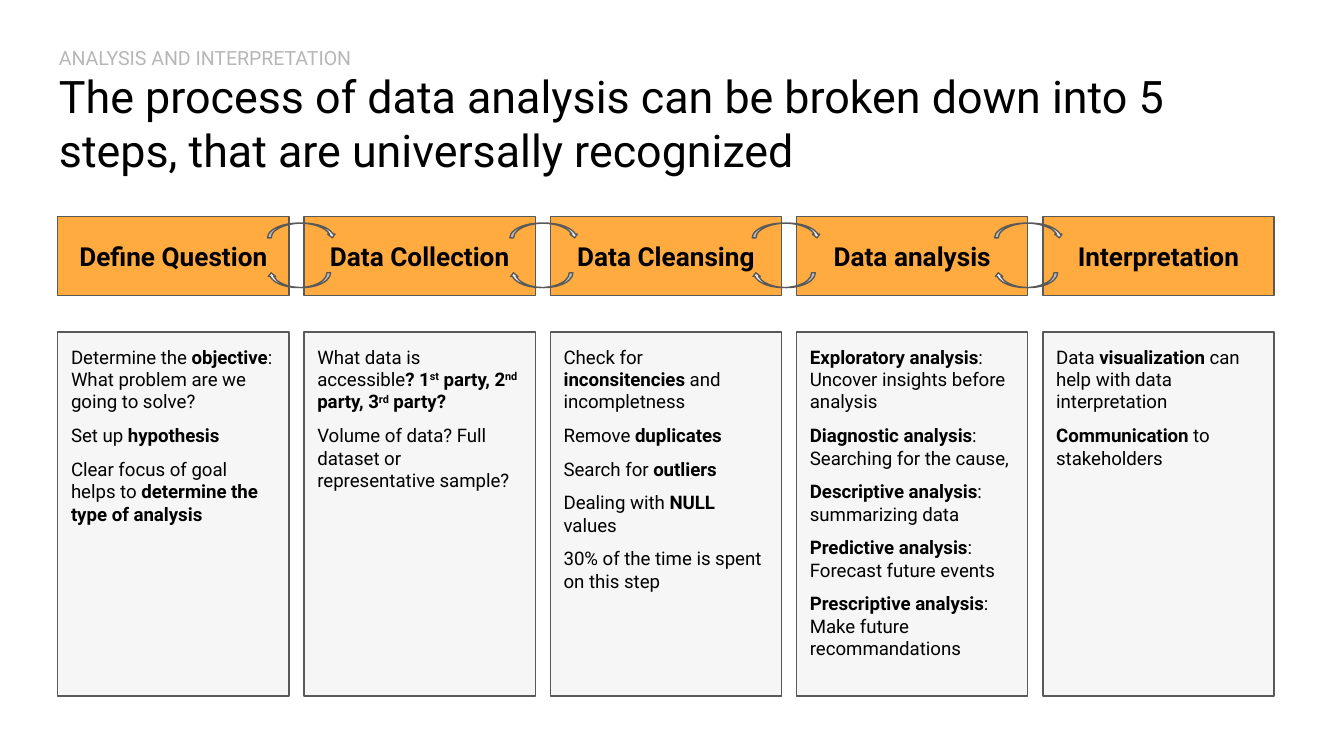
from pptx import Presentation
from pptx.dml.color import RGBColor
from pptx.enum.shapes import MSO_SHAPE
from pptx.enum.text import MSO_ANCHOR, PP_ALIGN
from pptx.oxml.ns import qn
from pptx.util import Inches, Pt
from lxml import etree

RECT = MSO_SHAPE.RECTANGLE
ARROW_DOWN, ARROW_UP = MSO_SHAPE.CURVED_DOWN_ARROW, MSO_SHAPE.CURVED_UP_ARROW
TOP, MIDDLE = MSO_ANCHOR.TOP, MSO_ANCHOR.MIDDLE
LEFT, CENTER = PP_ALIGN.LEFT, PP_ALIGN.CENTER

BLACK = RGBColor(0x00, 0x00, 0x00)
SILVER = RGBColor(0xB7, 0xB7, 0xB7)
ORANGE = RGBColor(0xFF, 0xAB, 0x40)
PALE = RGBColor(0xEE, 0xEE, 0xEE)
DARK = RGBColor(0x59, 0x59, 0x59)

FONT = "Roboto"
SLIDE_W = 10
SLIDE_H = SLIDE_W * 9 / 16
COLUMN_W = 1.72
ARROW_W, BACK_ARROW_W, ARROW_H = 0.51, 0.47, 0.11

TITLE_BOX = (0.34, 0.24, 9.32, 0.63)
HEADER_BOX = (0.43, 1.61, 9.05, 0.59)
ARROW_BOX = (1.99, 1.66, 5.92, 0.48)
DETAIL_BOX = (0.43, 2.47, 9.05, 2.71)

KICKER = {"size": Pt(10.5), "name": FONT, "color": SILVER}
TITLE = {"size": Pt(24), "name": FONT, "color": BLACK}
HEADER = {"size": Pt(14), "name": FONT, "color": BLACK, "bold": True}
BODY = {"size": Pt(10), "name": FONT, "color": BLACK}

STEPS = {
    "Define Question": [
        "Determine the *objective*: What problem are we going to solve?",
        "Set up *hypothesis*",
        "Clear focus of goal helps to *determine the type of analysis*",
    ],
    "Data Collection": [
        "What data is accessible*? 1^st^ party, 2^nd^ party, 3^rd^ party?*",
        "Volume of data? Full dataset or representative sample?",
    ],
    "Data Cleansing": [
        "Check for *inconsitencies* and incompletness",
        "Remove *duplicates*",
        "Search for *outliers*",
        "Dealing with *NULL* values",
        "30% of the time is spent on this step",
    ],
    "Data analysis": [
        "*Exploratory analysis*: Uncover insights before analysis",
        "*Diagnostic analysis*: Searching for the cause,",
        "*Descriptive analysis*: summarizing data",
        "*Predictive analysis*: Forecast future events",
        "*Prescriptive analysis*: Make future recommandations",
    ],
    "Interpretation": [
        "Data *visualization* can help with data interpretation",
        "*Communication* to stakeholders",
    ],
}


def add_run(p, text, style):
    r = p.add_run()
    r.text = text
    for key, value in style.items():
        if key == "color":
            r.font.color.rgb = value
        else:
            setattr(r.font, key, value)
    return r


def add_marked_text(p, text):
    for i, part in enumerate(text.split("*")):
        for j, piece in enumerate(part.split("^")):
            if piece:
                r = add_run(p, piece, {**BODY, "bold": i % 2 == 1})
                if j % 2:
                    r.font._element.set("baseline", "30000")


def set_frame(tf, anchor):
    tf.word_wrap = True
    tf.vertical_anchor = anchor
    for side in ("left", "top", "right", "bottom"):
        setattr(tf, f"margin_{side}", Inches(0.1))


def add_outlined(s, kind, box, color):
    sp = s.shapes.add_shape(kind, *map(Inches, box))
    sp.shadow.inherit = False
    sp.fill.solid()
    sp.fill.fore_color.rgb = color
    sp.line.color.rgb = DARK
    sp.line.width = Pt(0.75)
    return sp


def column_lefts(box, count, width):
    pitch = (box[2] - width) / (count - 1)
    return [box[0] + i * pitch for i in range(count)]


def add_title(s, box):
    tf = s.shapes.add_textbox(*map(Inches, box)).text_frame
    set_frame(tf, TOP)
    p = tf.paragraphs[0]
    add_run(p, "ANALYSIS AND INTERPRETATION", KICKER)
    p.add_line_break()
    add_run(p, "The process of data analysis can be broken down into 5 steps, "
               "that are universally recognized", TITLE)


def add_headers(s, box):
    for x, name in zip(column_lefts(box, len(STEPS), COLUMN_W), STEPS):
        sp = add_outlined(s, RECT, (x, box[1], COLUMN_W, box[3]), ORANGE)
        set_frame(sp.text_frame, MIDDLE)
        p = sp.text_frame.paragraphs[0]
        p.alignment = CENTER
        add_run(p, name, HEADER)


def add_arrows(s, box):
    _, y, _, h = box
    for x in column_lefts(box, len(STEPS) - 1, ARROW_W):
        add_outlined(s, ARROW_DOWN, (x, y, ARROW_W, ARROW_H), PALE)
        back = add_outlined(
            s, ARROW_UP, (x, y + h - ARROW_H, BACK_ARROW_W, ARROW_H), PALE)
        back.element.spPr.find(qn("a:xfrm")).set("flipH", "1")


def add_details(s, box):
    lefts = column_lefts(box, len(STEPS), COLUMN_W)
    for x, points in zip(lefts, STEPS.values()):
        sp = add_outlined(s, RECT, (x, box[1], COLUMN_W, box[3]), PALE)
        color = sp.element.spPr.find(qn("a:solidFill")).find(qn("a:srgbClr"))
        etree.SubElement(color, qn("a:alpha"), val="50000")
        tf = sp.text_frame
        set_frame(tf, TOP)
        for i, point in enumerate(points):
            p = tf.add_paragraph() if i else tf.paragraphs[0]
            p.alignment = LEFT
            p.space_before = Pt(6)
            add_marked_text(p, point)


def main():
    prs = Presentation()
    prs.slide_width, prs.slide_height = Inches(SLIDE_W), Inches(SLIDE_H)
    s = prs.slides.add_slide(prs.slide_layouts[6])
    add_title(s, TITLE_BOX)
    add_headers(s, HEADER_BOX)
    add_arrows(s, ARROW_BOX)
    add_details(s, DETAIL_BOX)
    prs.save("out.pptx")


if __name__ == "__main__":
    main()
